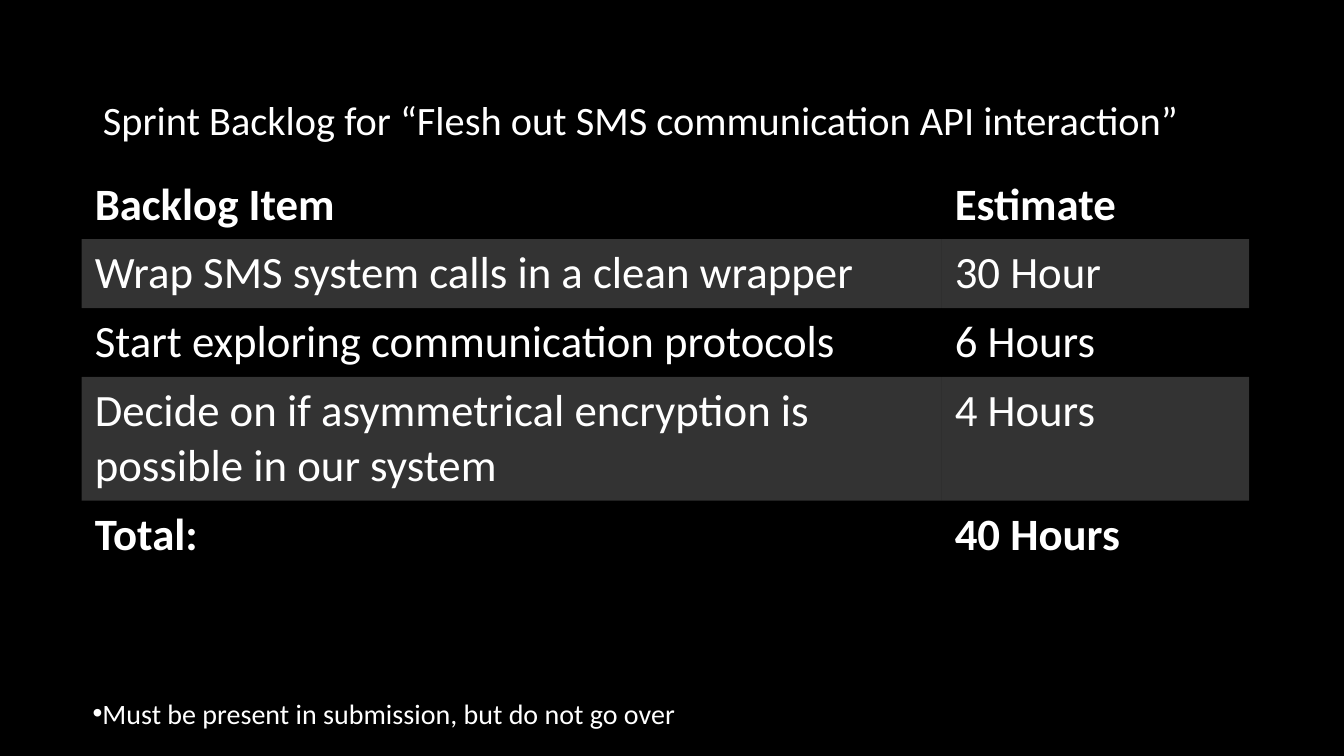
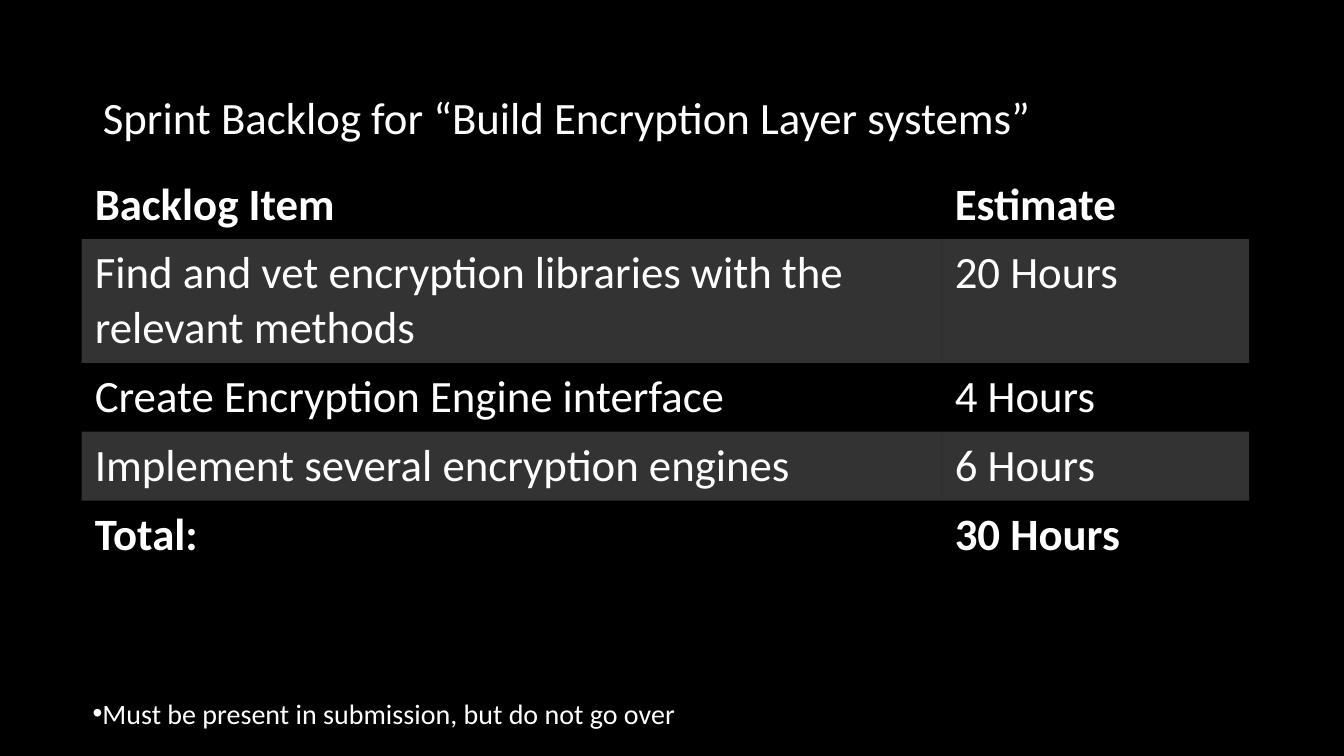
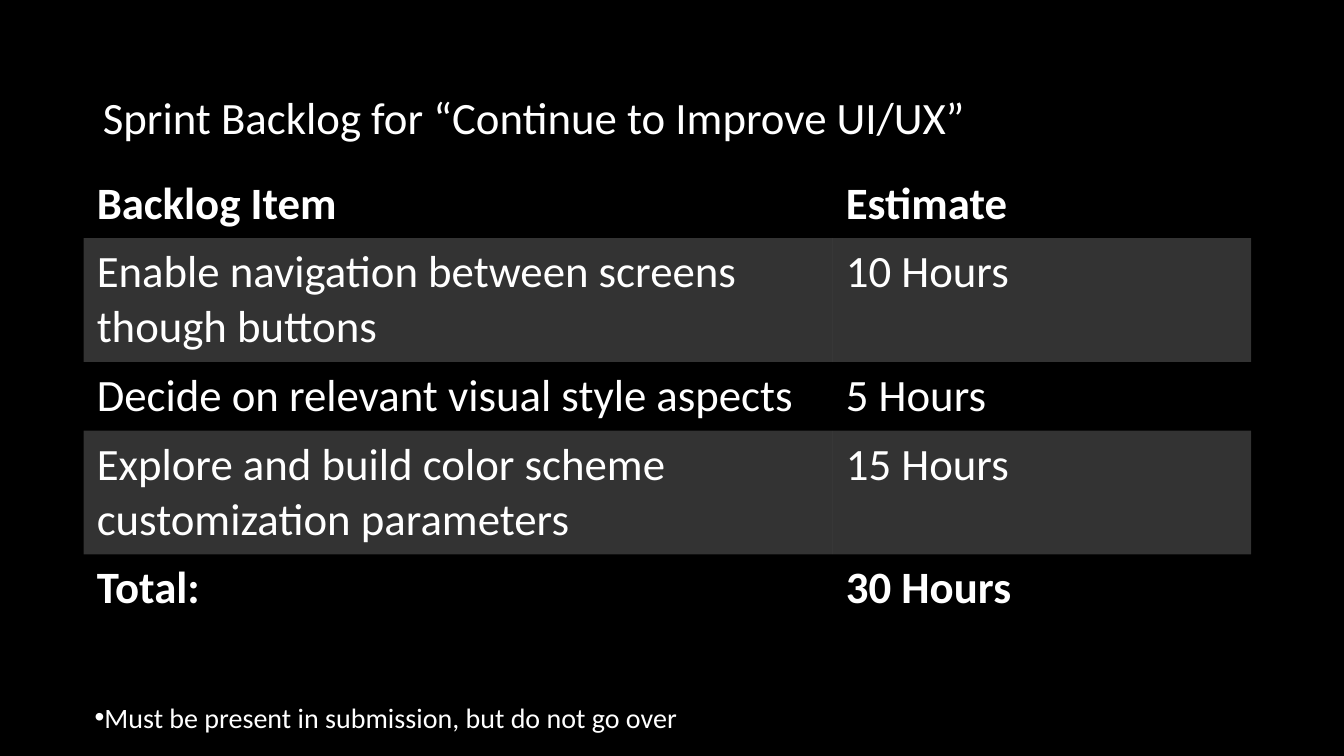
from dataclasses import dataclass

from lxml import etree
from pptx import Presentation
from pptx.dml.color import RGBColor
from pptx.enum.text import MSO_ANCHOR, MSO_AUTO_SIZE, PP_ALIGN
from pptx.oxml.ns import qn
from pptx.util import Inches, Pt


@dataclass(frozen=True)
class Theme:
    font: str = "Calibri"
    back: RGBColor = RGBColor(0x00, 0x00, 0x00)
    text: RGBColor = RGBColor(0xFF, 0xFF, 0xFF)
    band_alpha: int = 20  # percent
    title_size: float = 32
    table_size: float = 32
    note_size: float = 20


THEME = Theme()
NO_GRID_STYLE = "{2D5ABB26-0587-4C30-8999-92F81FD0307C}"
ROW_HEIGHT = 0.68  # one line of text; longer items take two
LINE_HEIGHT = 0.54

# Content
HEADER = ("Backlog Item", "Estimate")
NOTE = "Must be present in submission, but do not go over"
SPRINTS = [
    {
        "title": "Sprint Backlog for “Flesh out SMS communication API interaction”",
        "title_size": 28.8,
        "items": [
            ("Wrap SMS system calls in a clean wrapper", "30 Hour"),
            ("Start exploring communication protocols", "6 Hours"),
            ("Decide on if asymmetrical encryption is possible in our system", "4 Hours"),
        ],
        "total": "40 Hours",
    },
    {
        "title": "Sprint Backlog for “Build Encryption Layer systems”",
        "items": [
            ("Find and vet encryption libraries with the relevant methods", "20 Hours"),
            ("Create Encryption Engine interface", "4 Hours"),
            ("Implement several encryption engines", "6 Hours"),
        ],
        "total": "30 Hours",
    },
    {
        "title": "Sprint Backlog for “Continue to Improve UI/UX”",
        "title_width": 9.8,
        "items": [
            ("Enable navigation between screens though buttons", "10 Hours"),
            ("Decide on relevant visual style aspects", "5 Hours"),
            ("Explore and build color scheme customization parameters", "15 Hours"),
        ],
        "total": "30 Hours",
        "table_at": (0.83, 1.68),
        "columns": (7.43, 4.15),
        "note_box": (0.84, 6.9, 7.77, 0.44),
    },
]
DEFAULTS = {
    "title_size": THEME.title_size,
    "title_width": 11.48,
    "table_at": (0.81, 1.69),
    "columns": (8.53, 3.05),
    "note_box": (0.82, 6.86, 8.82, 0.44),
}


def inches(*values):
    return [Inches(v) for v in values]


def add_text(p, text, size, bold=False):
    r = p.add_run()
    r.text = text
    r.font.name = THEME.font
    r.font.size = Pt(size)
    r.font.bold = bold
    r.font.color.rgb = THEME.text


def set_title(s, text, size, width):
    sp = s.shapes.title
    sp.left, sp.top, sp.width, sp.height = inches(0.92, 0.63, width, 0.85)
    tf = sp.text_frame
    tf.word_wrap = True
    tf.auto_size = MSO_AUTO_SIZE.NONE
    tf.vertical_anchor = MSO_ANCHOR.BOTTOM
    p = tf.paragraphs[0]
    p.alignment = PP_ALIGN.LEFT
    p.line_spacing = 0.9
    add_text(p, text, size)


def fill_band(cell):
    cell.fill.solid()
    cell.fill.fore_color.rgb = THEME.text
    color = cell._tc.tcPr.find(f".//{qn('a:srgbClr')}")
    etree.SubElement(color, qn("a:alpha"), val=str(THEME.band_alpha * 1000))


def add_backlog(s, rows, at, columns):
    frame = s.shapes.add_table(
        len(rows), len(columns), *inches(*at, sum(columns), ROW_HEIGHT * len(rows)))
    table = frame.table
    table.first_row = table.horz_banding = False
    table._tbl.tblPr.find(qn("a:tableStyleId")).text = NO_GRID_STYLE
    for column, width in zip(table.columns, columns):
        column.width = Inches(width)
    for i, row in enumerate(rows):
        # Items past 45 characters wrap to a second line
        extra = LINE_HEIGHT if len(row[0]) > 45 else 0
        table.rows[i].height = Inches(ROW_HEIGHT + extra)
        for j, text in enumerate(row):
            cell = table.cell(i, j)
            cell.margin_left = cell.margin_right = Inches(0.13)
            cell.margin_top = cell.margin_bottom = Inches(0.07)
            if i % 2:
                fill_band(cell)
            else:
                cell.fill.background()
            add_text(cell.text_frame.paragraphs[0], text, THEME.table_size,
                     bold=i in (0, len(rows) - 1))


def add_note(s, box):
    tf = s.shapes.add_textbox(*inches(*box)).text_frame
    tf.word_wrap = True
    tf.auto_size = MSO_AUTO_SIZE.SHAPE_TO_FIT_TEXT
    p = tf.paragraphs[0]
    pPr = p._p.get_or_add_pPr()
    etree.SubElement(pPr, qn("a:buFont"), typeface="Arial")
    etree.SubElement(pPr, qn("a:buChar"), char="•")
    add_text(p, NOTE, THEME.note_size)


def main():
    prs = Presentation()
    prs.slide_width, prs.slide_height = inches(13.33, 7.5)
    background = prs.slide_master.background.fill
    background.solid()
    background.fore_color.rgb = THEME.back

    for sprint in SPRINTS:
        data = {**DEFAULTS, **sprint}
        s = prs.slides.add_slide(prs.slide_layouts.get_by_name("Title Only"))
        set_title(s, data["title"], data["title_size"], data["title_width"])
        rows = [HEADER, *data["items"], ("Total:", data["total"])]
        add_backlog(s, rows, data["table_at"], data["columns"])
        add_note(s, data["note_box"])

    prs.save("out.pptx")


if __name__ == "__main__":
    main()
